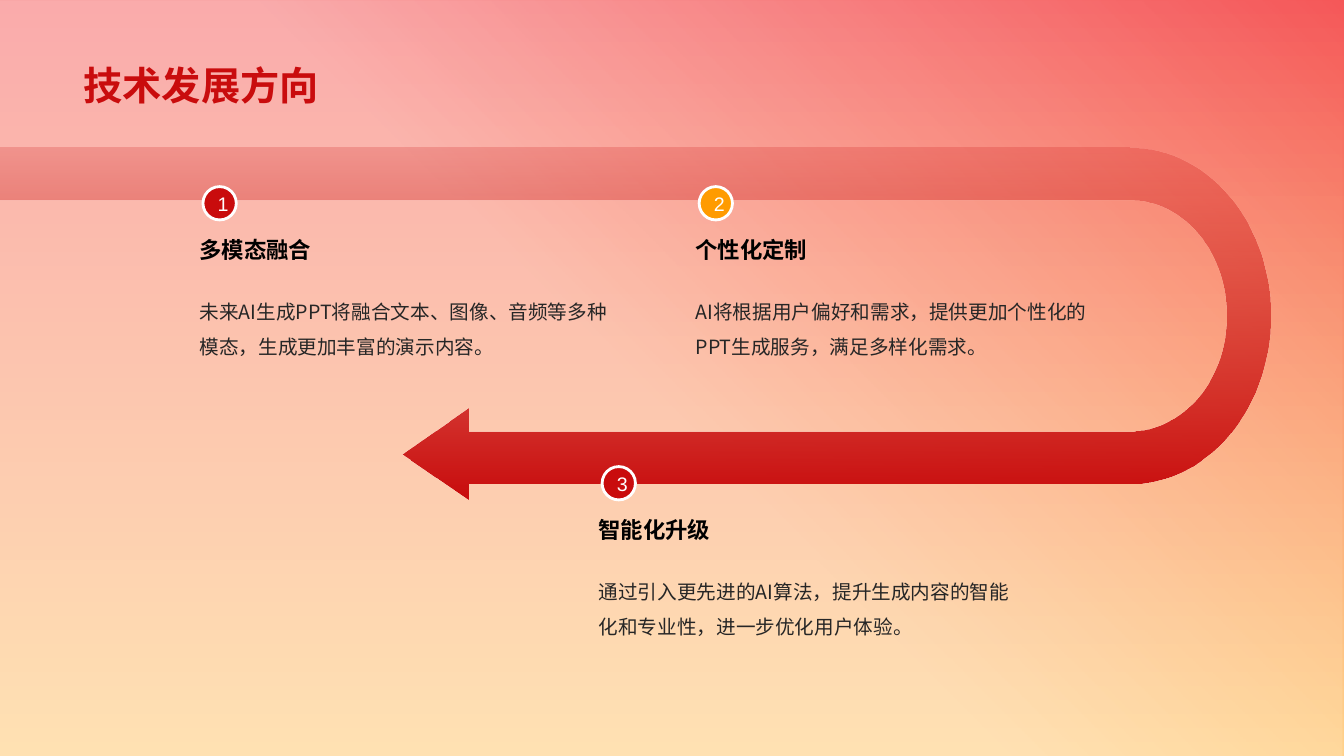
from math import cos, pi, sin

from lxml.etree import SubElement
from pptx import Presentation
from pptx.dml.color import RGBColor
from pptx.enum.shapes import MSO_SHAPE
from pptx.enum.text import MSO_ANCHOR, MSO_AUTO_SIZE, PP_ALIGN
from pptx.oxml.ns import qn
from pptx.util import Pt

CJK = "Noto Sans CJK SC"
RED = "C90C0D"
ORANGE = "FF9B00"
WIDTH, HEIGHT = 960, 540

STATIONS = [
    (420.5, 365, "3", RED, "智能化升级",
     "通过引入更先进的AI算法，提升生成内容的智能化和专业性，进一步优化用户体验。"),
    (135.4, 165, "1", RED, "多模态融合",
     "未来AI生成PPT将融合文本、图像、音频等多种模态，生成更加丰富的演示内容。"),
    (489.8, 165, "2", ORANGE, "个性化定制",
     "AI将根据用户偏好和需求，提供更加个性化的PPT生成服务，满足多样化需求。"),
]


def color(value):
    """Turn a hex string into a colour."""
    return RGBColor.from_string(value)


def set_gradient(fill, element, angle, stops):
    """Fill with a two-stop gradient of (position, colour, opacity in percent)."""
    fill.gradient()
    fill.gradient_angle = angle
    nodes = element.iter(qn("a:gs"))
    for stop, node, (position, value, opacity) in zip(fill.gradient_stops, nodes, stops):
        stop.position = position
        stop.color.rgb = color(value)
        if opacity < 100:
            alpha = SubElement(node.find(qn("a:srgbClr")), qn("a:alpha"))
            alpha.set("val", str(opacity * 1000))


def format_run(r, size, value, name, bold=False):
    """Set size, colour and typeface for Latin and East Asian text."""
    r.font.size = Pt(size)
    r.font.bold = bold
    r.font.color.rgb = color(value)
    r.font.name = name
    SubElement(r.font._element, qn("a:ea")).set("typeface", name)


def add_text(s, x, y, w, h, text, size, value, bold=False, spacing=1.0):
    """Add a wrapping text box and return its text frame."""
    tf = s.shapes.add_textbox(Pt(x), Pt(y), Pt(w), Pt(h)).text_frame
    tf.word_wrap = True
    tf.auto_size = MSO_AUTO_SIZE.SHAPE_TO_FIT_TEXT
    tf.text = text
    p = tf.paragraphs[0]
    p.line_spacing = spacing
    format_run(p.runs[0], size, value, CJK, bold)
    return tf


def add_badge(s, x, y, number, value):
    """Add a round white-edged number badge."""
    sp = s.shapes.add_shape(MSO_SHAPE.ROUNDED_RECTANGLE, Pt(x), Pt(y), Pt(23.8), Pt(23.8))
    sp.adjustments[0] = 0.5
    sp.shadow.inherit = False
    sp.fill.solid()
    sp.fill.fore_color.rgb = color(value)
    sp.line.color.rgb = color("FFFFFF")
    sp.line.width = Pt(2)
    tf = sp.text_frame
    tf.text = number
    tf.vertical_anchor = MSO_ANCHOR.MIDDLE
    p = tf.paragraphs[0]
    p.alignment = PP_ALIGN.CENTER
    format_run(p.runs[0], 14, "FFFFFF", "Arial")


def add_station(s, x, y, number, value, heading, body):
    """Add a badge with its heading and description."""
    add_text(s, x, y, 317.5, 26.6, heading, 16, "000000", bold=True)
    add_text(s, x, y + 37.4, 317.5, 36, body, 14, "262626", spacing=1.5)
    add_badge(s, x + 9.6, y - 31.7, number, value)


def half_ellipse(cx, cy, rx, ry, steps=60):
    """Return points down the right half of an ellipse."""
    angles = [pi * i / steps - pi / 2 for i in range(steps + 1)]
    return [(cx + rx * cos(a), cy + ry * sin(a)) for a in angles]


def add_turning_arrow(s):
    """Add the ribbon that enters left, turns back and ends in an arrowhead."""
    cx, cy, rx, ry, band_x, band_y = 806.5, 225.3, 101, 120.2, 31.4, 37.7
    neck, tip, flare = 334.6, 287, 14
    low, middle = cy + ry, cy + ry - band_y / 2
    head = [(neck, low), (neck, middle + band_y / 2 + flare - 2.6), (tip, middle - 2.3),
            (neck, middle - band_y / 2 - flare - 2.6), (neck, low - band_y)]
    outer = half_ellipse(cx, cy, rx, ry)
    inner = half_ellipse(cx, cy, rx - band_x, ry - band_y)
    points = [(0, cy - ry), *outer, *head, *reversed(inner), (0, cy - ry + band_y)]
    points = [(Pt(x), Pt(y)) for x, y in points]
    builder = s.shapes.build_freeform(*points[0])
    builder.add_line_segments(points[1:], close=True)
    sp = builder.convert_to_shape()
    sp.shadow.inherit = False
    sp.line.fill.background()
    set_gradient(sp.fill, sp.element, 90, [(0, RED, 100), (1, RED, 20)])


def add_backdrop(s):
    """Set the warm background and lay a white veil over its left side."""
    fill = s.background.fill
    set_gradient(fill, s.element, 90, [(0, "FFC366", 100), (1, "F55758", 100)])
    sp = s.shapes.add_shape(MSO_SHAPE.RECTANGLE, 0, 0, Pt(WIDTH), Pt(HEIGHT))
    sp.shadow.inherit = False
    sp.line.fill.background()
    set_gradient(sp.fill, sp.element, 45, [(0.48, "FFFFFF", 50), (1, "FFFFFF", 0)])


def main():
    """Build and save the slide."""
    prs = Presentation()
    prs.slide_width, prs.slide_height = Pt(WIDTH), Pt(HEIGHT)
    s = prs.slides.add_slide(prs.slide_layouts[6])
    add_backdrop(s)
    tf = add_text(s, 52.6, 0, 855.4, 80.6, "技术发展方向", 28, RED, bold=True)
    tf.auto_size = MSO_AUTO_SIZE.NONE
    tf.vertical_anchor = MSO_ANCHOR.BOTTOM
    add_turning_arrow(s)
    for station in STATIONS:
        add_station(s, *station)
    prs.save("out.pptx")


if __name__ == "__main__":
    main()
